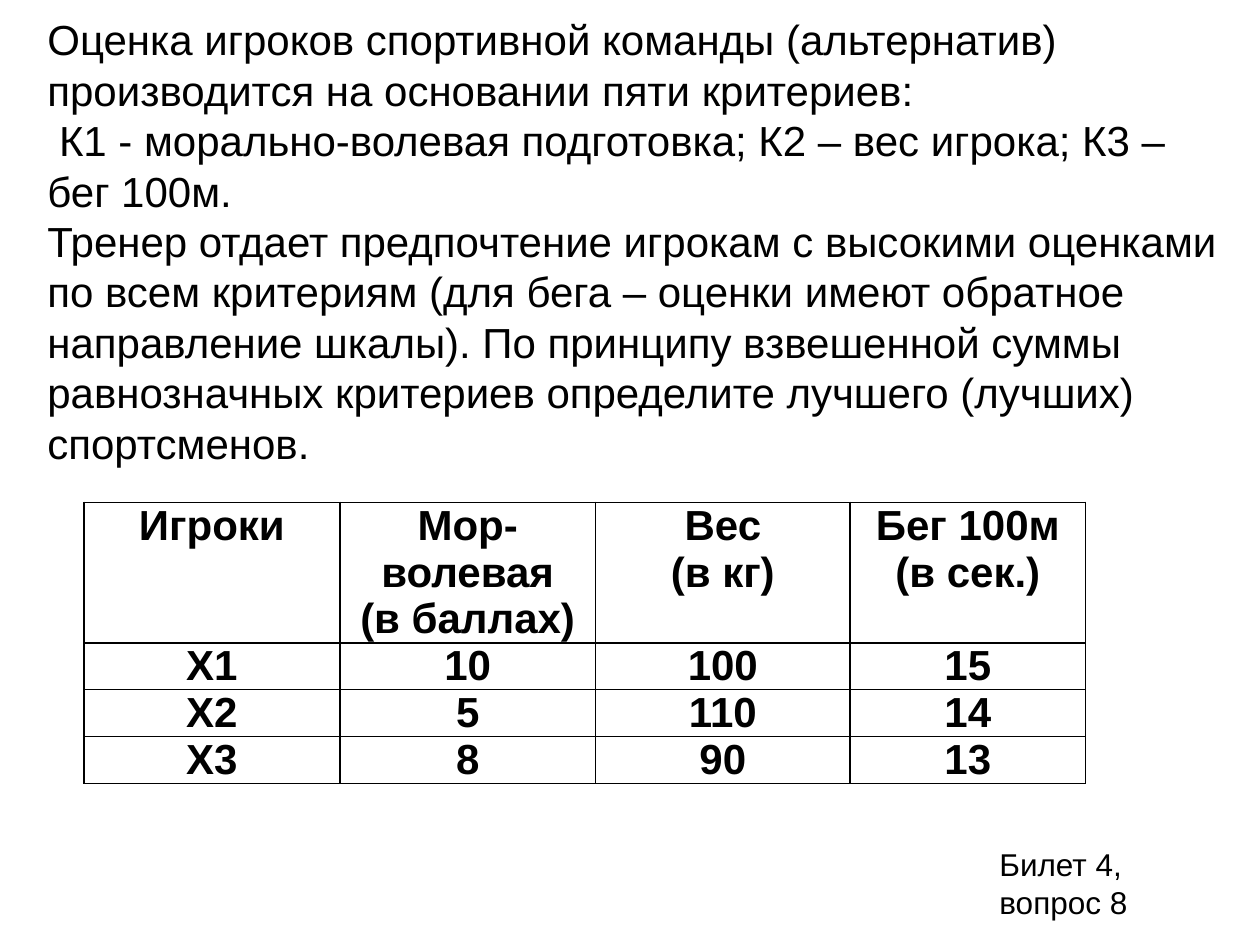
from lxml.etree import SubElement
from pptx import Presentation
from pptx.dml.color import RGBColor
from pptx.enum.text import MSO_ANCHOR, PP_ALIGN
from pptx.oxml.ns import qn
from pptx.util import Pt

COLORS = {"ink": "000000", "paper": "FFFFFF"}
TASK = [
    "Оценка игроков спортивной команды (альтернатив) производится на основании пяти критериев:",
    " К1 - морально-волевая подготовка; К2 – вес игрока; К3 – бег 100м.",
    "Тренер отдает предпочтение игрокам с высокими оценками по всем критериям "
    "(для бега – оценки имеют обратное направление шкалы). По принципу взвешенной "
    "суммы равнозначных критериев определите лучшего (лучших) спортсменов.",
]
SCORES = [
    ["Игроки", "Мор-волевая\n(в баллах)", "Вес\n(в кг)", "Бег 100м\n(в сек.)"],
    ["Х1", "10", "100", "15"],
    ["Х2", "5", "110", "14"],
    ["Х3", "8", "90", "13"],
]
COLUMN_WIDTHS = [146.2, 146.2, 145.4, 134.6]
ROW_HEIGHTS = [55.4, 25.2, 25.2, 25.2]
CELL_FORMAT = {
    "margin_left": Pt(5),
    "margin_right": Pt(5),
    "margin_top": Pt(0),
    "margin_bottom": Pt(0),
    "vertical_anchor": MSO_ANCHOR.TOP,
}


def apply_format(target, values):
    for name, value in values.items():
        setattr(target, name, value)


def write_lines(frame, lines, size, bold=False, align=PP_ALIGN.LEFT):
    frame.text = "\n".join(lines)
    for paragraph in frame.paragraphs:
        paragraph.alignment = align
        for run in paragraph.runs:
            apply_format(run.font, {"name": "Arial", "size": Pt(size), "bold": bold})
            run.font.color.rgb = RGBColor.from_string(COLORS["ink"])


def add_note(slide, bounds, lines, size, anchor):
    note = slide.shapes.add_textbox(*map(Pt, bounds))
    apply_format(note.text_frame, {"word_wrap": True, "vertical_anchor": anchor})
    write_lines(note.text_frame, lines, size)


def draw_borders(cell):
    properties = cell._tc.get_or_add_tcPr()
    for position, side in enumerate(("a:lnL", "a:lnR", "a:lnT", "a:lnB")):
        border = SubElement(properties, qn(side), w=str(Pt(1)))
        fill = SubElement(border, qn("a:solidFill"))
        SubElement(fill, qn("a:srgbClr"), val=COLORS["ink"])
        properties.insert(position, border)


def add_scores(slide, left, top):
    scores = slide.shapes.add_table(
        len(SCORES), len(COLUMN_WIDTHS), Pt(left), Pt(top),
        Pt(sum(COLUMN_WIDTHS)), Pt(sum(ROW_HEIGHTS)),
    ).table
    for column, width in zip(scores.columns, COLUMN_WIDTHS):
        column.width = Pt(width)
    for row, height, values in zip(scores.rows, ROW_HEIGHTS, SCORES):
        row.height = Pt(height)
        for cell, value in zip(row.cells, values):
            apply_format(cell, CELL_FORMAT)
            cell.fill.background()
            write_lines(cell.text_frame, value.split("\n"), 24, True, PP_ALIGN.CENTER)
            draw_borders(cell)


def main():
    presentation = Presentation()
    apply_format(presentation, {"slide_width": Pt(720), "slide_height": Pt(540)})
    slide = presentation.slides.add_slide(presentation.slide_layouts[6])
    slide.background.fill.solid()
    slide.background.fill.fore_color.rgb = RGBColor.from_string(COLORS["paper"])
    add_scores(slide, 48, 287)
    add_note(slide, (20, 3, 692, 269), TASK, 24, MSO_ANCHOR.MIDDLE)
    add_note(slide, (564, 479.5, 108, 51), ["Билет 4, вопрос 8"], 18, MSO_ANCHOR.TOP)
    presentation.save("out.pptx")


if __name__ == "__main__":
    main()
